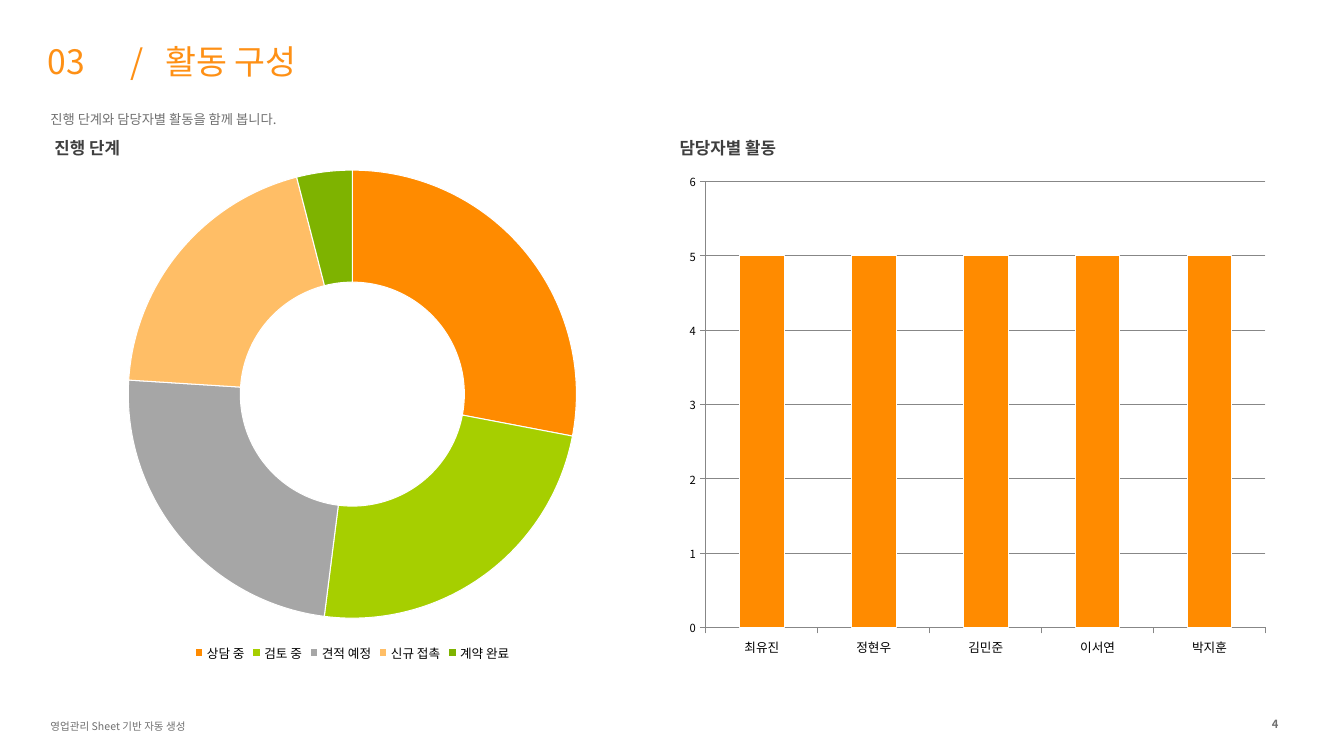
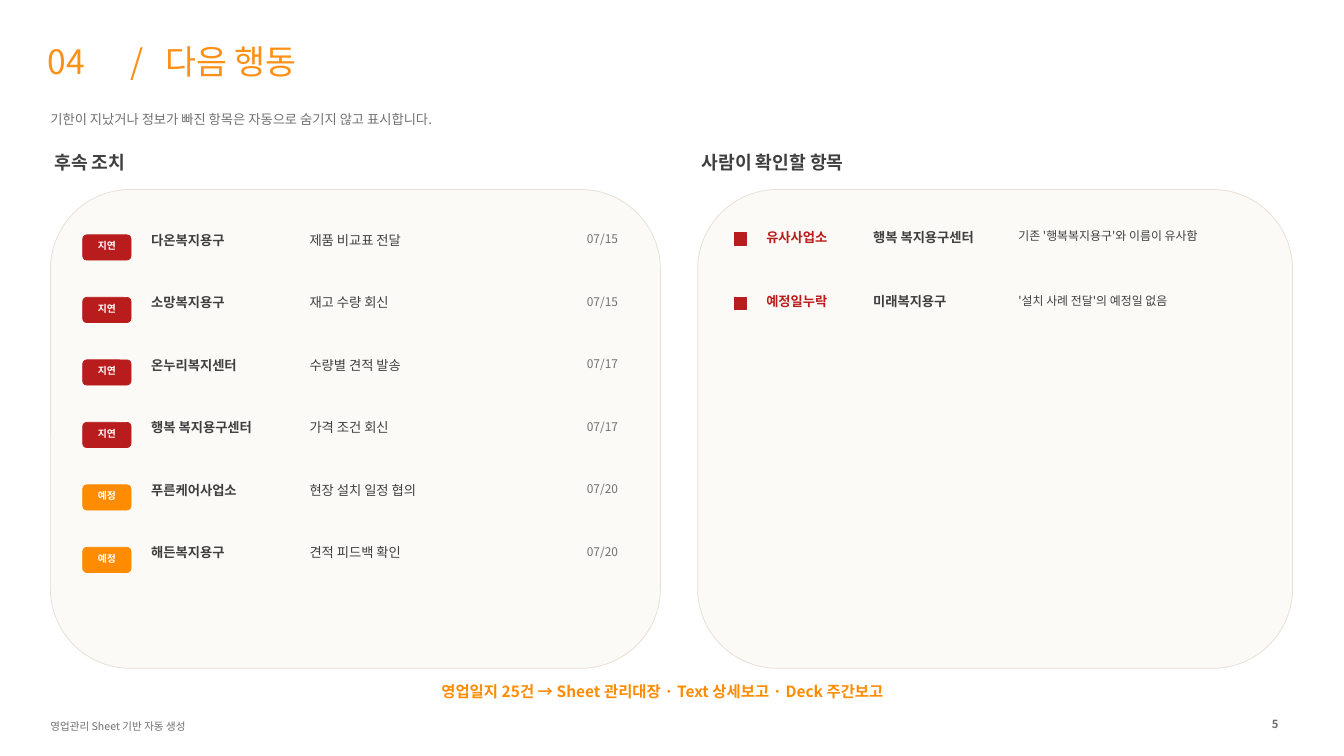
from lxml import etree
from pptx import Presentation
from pptx.chart.data import CategoryChartData
from pptx.dml.color import RGBColor
from pptx.enum.chart import XL_CHART_TYPE, XL_LEGEND_POSITION, XL_TICK_MARK
from pptx.enum.shapes import MSO_SHAPE
from pptx.enum.text import MSO_ANCHOR, MSO_AUTO_SIZE, PP_ALIGN
from pptx.oxml.ns import qn
from pptx.util import Inches, Pt

FONT = "Noto Sans CJK KR"
TITLE_ORANGE = RGBColor(0xFE, 0x90, 0x15)
ORANGE = RGBColor(0xFF, 0x8B, 0x00)
LIME = RGBColor(0xA6, 0xCF, 0x00)
SILVER = RGBColor(0xA6, 0xA6, 0xA6)
PEACH = RGBColor(0xFF, 0xBE, 0x66)
GREEN = RGBColor(0x7E, 0xB3, 0x00)
RED = RGBColor(0xB9, 0x1C, 0x1C)
DARK = RGBColor(0x3F, 0x3F, 0x3F)
GRAY = RGBColor(0x70, 0x70, 0x70)
AXIS_GRAY = RGBColor(0x87, 0x87, 0x87)
CREAM = RGBColor(0xFC, 0xFA, 0xF6)
SAND = RGBColor(0xE6, 0xDE, 0xD2)
WHITE = RGBColor(0xFF, 0xFF, 0xFF)
BLACK = RGBColor(0, 0, 0)

LEFT, CENTER, RIGHT = PP_ALIGN.LEFT, PP_ALIGN.CENTER, PP_ALIGN.RIGHT
TOP, MIDDLE, BOTTOM = MSO_ANCHOR.TOP, MSO_ANCHOR.MIDDLE, MSO_ANCHOR.BOTTOM
GROW, FIXED = MSO_AUTO_SIZE.SHAPE_TO_FIT_TEXT, MSO_AUTO_SIZE.NONE
ROUNDED, RECTANGLE = MSO_SHAPE.ROUNDED_RECTANGLE, MSO_SHAPE.RECTANGLE
DOUGHNUT, COLUMN = XL_CHART_TYPE.DOUGHNUT, XL_CHART_TYPE.COLUMN_CLUSTERED
LEGEND_BOTTOM = XL_LEGEND_POSITION.BOTTOM
TICK_OUTSIDE = XL_TICK_MARK.OUTSIDE
TITLE_ONLY = 5

TITLE_TABS = (0.82, 1.17)
INSET = Inches(0.02)

STAGES = [
    ("상담 중", 28, ORANGE),
    ("검토 중", 24, LIME),
    ("견적 예정", 24, SILVER),
    ("신규 접촉", 20, PEACH),
    ("계약 완료", 4, GREEN),
]
OWNERS = ["최유진", "정현우", "김민준", "이서연", "박지훈"]
ACTIVITIES = [5, 5, 5, 5, 5]

STATUS_COLORS = {"지연": RED, "예정": ORANGE}
FOLLOW_UPS = [
    ("지연", "다온복지용구", "제품 비교표 전달", "07/15"),
    ("지연", "소망복지용구", "재고 수량 회신", "07/15"),
    ("지연", "온누리복지센터", "수량별 견적 발송", "07/17"),
    ("지연", "행복 복지용구센터", "가격 조건 회신", "07/17"),
    ("예정", "푸른케어사업소", "현장 설치 일정 협의", "07/20"),
    ("예정", "해든복지용구", "견적 피드백 확인", "07/20"),
]
CHECKS = [
    ("유사사업소", "행복 복지용구센터", "기존 '행복복지용구'와 이름이 유사함"),
    ("예정일누락", "미래복지용구", "'설치 사례 전달'의 예정일 없음"),
]


def place(at):
    return [Inches(length) for length in at]


def style_span(span, size, color, bold):
    span.font.size = Pt(size)
    span.font.bold = bold
    span.font.color.rgb = color
    span.font.name = FONT
    east_asian = etree.SubElement(span.font._element, qn("a:ea"))
    east_asian.set("typeface", FONT)


def add_text(page, text, at, size=9.5, color=DARK, bold=False, align=LEFT, anchor=TOP):
    box = page.shapes.add_textbox(*place(at))
    frame = box.text_frame
    frame.word_wrap = False
    frame.auto_size = GROW
    frame.vertical_anchor = anchor
    frame.margin_left = frame.margin_right = INSET
    frame.margin_top = frame.margin_bottom = INSET
    para = frame.paragraphs[0]
    para.alignment = align
    span = para.add_run()
    span.text = text
    style_span(span, size, color, bold)


def add_box(page, kind, at, fill, line):
    box = page.shapes.add_shape(kind, *place(at))
    box.shadow.inherit = False
    box.fill.solid()
    box.fill.fore_color.rgb = fill
    box.line.color.rgb = line
    box.line.width = Pt(0.5)


def set_title(page, number, heading):
    title = page.shapes.title
    title.left, title.top, title.width, title.height = place((0.37, 0.33, 11.5, 0.53))
    frame = title.text_frame
    frame.vertical_anchor = BOTTOM
    frame.auto_size = FIXED
    para = frame.paragraphs[0]
    para.alignment = LEFT
    para.line_spacing = 0.9
    tabs = etree.SubElement(para._p.get_or_add_pPr(), qn("a:tabLst"))
    for position in TITLE_TABS:
        etree.SubElement(tabs, qn("a:tab"), pos=str(Inches(position)), algn="l")
    span = para.add_run()
    span.text = f"{number}\t/\t{heading}"
    style_span(span, 24, TITLE_ORANGE, False)


def add_page(deck, number, heading, summary, page_number):
    page = deck.slides.add_slide(deck.slide_layouts[TITLE_ONLY])
    page.background.fill.solid()
    page.background.fill.fore_color.rgb = WHITE
    set_title(page, number, heading)
    add_text(page, summary, (0.48, 1.08, 12.1, 0.34), color=GRAY)
    add_text(page, "영업관리 Sheet 기반 자동 생성", (0.48, 7.12, 4.5, 0.18), size=7.5, color=GRAY)
    add_text(page, str(page_number), (12.2, 7.1, 0.5, 0.2), size=8, color=GRAY,
             bold=True, align=RIGHT)
    return page


def style_font(font, size):
    font.name = FONT
    font.size = Pt(size)
    font.color.rgb = BLACK


def paint(element, color):
    element.format.fill.solid()
    element.format.fill.fore_color.rgb = color
    element.format.line.color.rgb = WHITE
    element.format.line.width = Pt(0.75)


def add_chart(page, kind, at, categories, values):
    data = CategoryChartData(number_format="0")
    data.categories = categories
    data.add_series("Series 1", values)
    chart = page.shapes.add_chart(kind, *place(at), data).chart
    chart.has_title = False
    style_font(chart.font, 18)
    return chart


def add_stage_chart(page, at):
    names, values, colors = zip(*STAGES)
    chart = add_chart(page, DOUGHNUT, at, names, values)
    chart.has_legend = True
    chart.legend.position = LEGEND_BOTTOM
    chart.legend.include_in_layout = False
    style_font(chart.legend.font, 9)
    plot = chart.plots[0]
    plot.vary_by_categories = True
    plot.has_data_labels = False
    for index, color in enumerate(colors):
        paint(plot.series[0].points[index], color)


def add_owner_chart(page, at):
    chart = add_chart(page, COLUMN, at, OWNERS, ACTIVITIES)
    chart.has_legend = False
    plot = chart.plots[0]
    plot.vary_by_categories = False
    plot.gap_width = 150
    paint(plot.series[0], ORANGE)
    for axis, size in ((chart.category_axis, 9), (chart.value_axis, 8)):
        style_font(axis.tick_labels.font, size)
        axis.major_tick_mark = TICK_OUTSIDE
        axis.format.line.color.rgb = AXIS_GRAY
    scale = chart.value_axis
    scale.minimum_scale, scale.maximum_scale, scale.major_unit = 0, 6, 1
    scale.has_major_gridlines = True
    scale.major_gridlines.format.line.color.rgb = AXIS_GRAY


def add_follow_up(page, top, status, client, action, due):
    color = STATUS_COLORS[status]
    add_box(page, ROUNDED, (0.82, top + 0.05, 0.48, 0.25), color, color)
    add_text(page, status, (0.82, top + 0.07, 0.48, 0.18), size=7, color=WHITE,
             bold=True, align=CENTER, anchor=MIDDLE)
    add_text(page, client, (1.48, top, 1.55, 0.3), bold=True)
    add_text(page, action, (3.05, top, 2.1, 0.3))
    add_text(page, due, (5.27, top, 0.88, 0.3), size=8.5, color=GRAY, align=RIGHT)


def add_check(page, top, issue, client, detail):
    add_box(page, RECTANGLE, (7.28, top + 0.06, 0.12, 0.12), RED, RED)
    add_text(page, issue, (7.58, top, 1.08, 0.28), color=RED, bold=True)
    add_text(page, client, (8.64, top, 1.45, 0.28), bold=True)
    add_text(page, detail, (10.08, top, 2.22, 0.4), size=8.5)


def build_activity_page(deck):
    page = add_page(deck, "03", "활동 구성", "진행 단계와 담당자별 활동을 함께 봅니다.", 4)
    add_stage_chart(page, (0.52, 1.55, 5.95, 5.05))
    add_text(page, "진행 단계", (0.52, 1.35, 2.5, 0.3), size=12, bold=True)
    add_owner_chart(page, (6.72, 1.62, 5.95, 4.98))
    add_text(page, "담당자별 활동", (6.72, 1.35, 3, 0.3), size=12, bold=True)


def build_action_page(deck):
    page = add_page(deck, "04", "다음 행동",
                    "기한이 지났거나 정보가 빠진 항목은 자동으로 숨기지 않고 표시합니다.", 5)
    for heading, left, width in (("후속 조치", 0.5, 6.05), ("사람이 확인할 항목", 6.92, 5.9)):
        add_text(page, heading, (left + 0.02, 1.48, 5, 0.3), size=13, bold=True)
        add_box(page, ROUNDED, (left, 1.88, width, 4.75), CREAM, SAND)
    for index, follow_up in enumerate(FOLLOW_UPS):
        add_follow_up(page, 2.28 + 0.62 * index, *follow_up)
    for index, check in enumerate(CHECKS):
        add_check(page, 2.25 + 0.64 * index, *check)
    add_text(page, "영업일지 25건 → Sheet 관리대장 · Text 상세보고 · Deck 주간보고",
             (0.72, 6.75, 11.7, 0.3), size=11, color=ORANGE, bold=True, align=CENTER)


def main():
    deck = Presentation()
    deck.slide_width = Inches(13.33)
    deck.slide_height = Inches(7.5)
    build_activity_page(deck)
    build_action_page(deck)
    deck.save("out.pptx")


if __name__ == "__main__":
    main()
